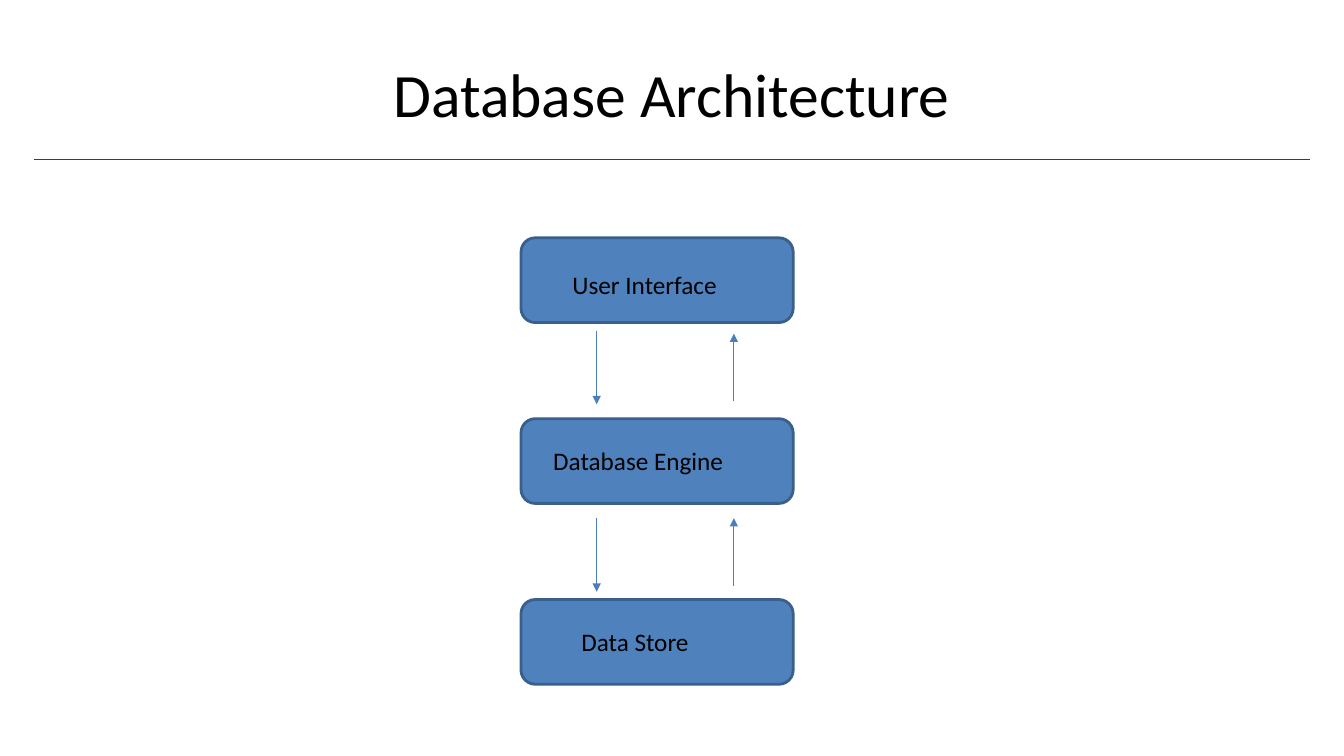
"""Draw the three layers of a database, joined by arrows."""
from typing import NamedTuple

from lxml.etree import SubElement
from pptx import Presentation
from pptx.dml.color import RGBColor as Rgb
from pptx.enum.shapes import MSO_CONNECTOR as Conn, MSO_SHAPE as Form
from pptx.enum.text import MSO_ANCHOR as Anchor, PP_ALIGN as Align
from pptx.oxml.ns import qn
from pptx.util import Pt

HUES = {"text": "000000", "rule": "254061", "fill": "4F81BD",
        "edge": "3A5F8C", "arrow": "4B7EBC"}
FONT = "Calibri"
LEFT, TOP, WIDE, HIGH, STEP = 372.2, 169.9, 194.4, 60.5, 129.2


class Label(NamedTuple):
    text: str
    left: float
    top: float
    width: float
    height: float
    size: float = 18
    space: float = 1
    align: Align = Align.LEFT
    anchor: Anchor = Anchor.TOP


class Line(NamedTuple):
    left: float
    top: float
    right: float
    end: float
    hue: str = "arrow"
    head: bool = True


TITLE = Label("Database Architecture", 48, 21.6, 864, 90, 44,
              align=Align.CENTER, anchor=Anchor.MIDDLE)
LAYERS = [
    Label("User Interface", 401.8, 186.5, 194.4, 35.3, space=1.1),
    Label("Database Engine", 388.1, 314.6, 166.3, 28.8),
    Label("Data Store", 408.2, 444.2, 122.4, 28.8),
]
RULE = Line(24, 114, 936, 114, "rule", False)
DOWN = [Line(426.2, y, 426.2, y + 52.6) for y in (236.2, 370.1)]
UP = [Line(524.2, y + 48.2, 524.2, y) for y in (238.3, 370.1)]


def tint(name: str) -> Rgb:
    return Rgb.from_string(HUES[name])


def add_box(shapes, row: int) -> None:
    box = shapes.add_shape(Form.ROUNDED_RECTANGLE, Pt(LEFT),
                           Pt(TOP + row * STEP), Pt(WIDE), Pt(HIGH))
    box.shadow.inherit = False
    box.fill.solid()
    box.fill.fore_color.rgb = tint("fill")
    box.line.color.rgb = tint("edge")
    box.line.width = Pt(2)


def add_line(shapes, line: Line) -> None:
    link = shapes.add_connector(Conn.STRAIGHT, Pt(line.left), Pt(line.top),
                                Pt(line.right), Pt(line.end))
    link.line.color.rgb = tint(line.hue)
    link.line.width = Pt(0.75)
    if line.head:
        SubElement(link.line._get_or_add_ln(), qn("a:tailEnd"), type="triangle")
    SubElement(link._element.spPr, qn("a:effectLst"))


def add_label(shapes, label: Label) -> None:
    frame = shapes.add_textbox(Pt(label.left), Pt(label.top), Pt(label.width),
                               Pt(label.height)).text_frame
    frame.word_wrap = True
    frame.vertical_anchor = label.anchor
    para = frame.paragraphs[0]
    para.alignment = label.align
    para.line_spacing = label.space
    run = para.add_run()
    run.text = label.text
    run.font.name = FONT
    run.font.size = Pt(label.size)
    run.font.color.rgb = tint("text")


def main() -> None:
    deck = Presentation()
    deck.slide_width, deck.slide_height = Pt(960), Pt(540)
    shapes = deck.slides.add_slide(deck.slide_layouts[6]).shapes
    add_line(shapes, RULE)
    add_label(shapes, TITLE)
    for row in range(len(LAYERS)):
        add_box(shapes, row)
    for line in DOWN + UP:
        add_line(shapes, line)
    for label in LAYERS:
        add_label(shapes, label)
    deck.save("out.pptx")


if __name__ == "__main__":
    main()
